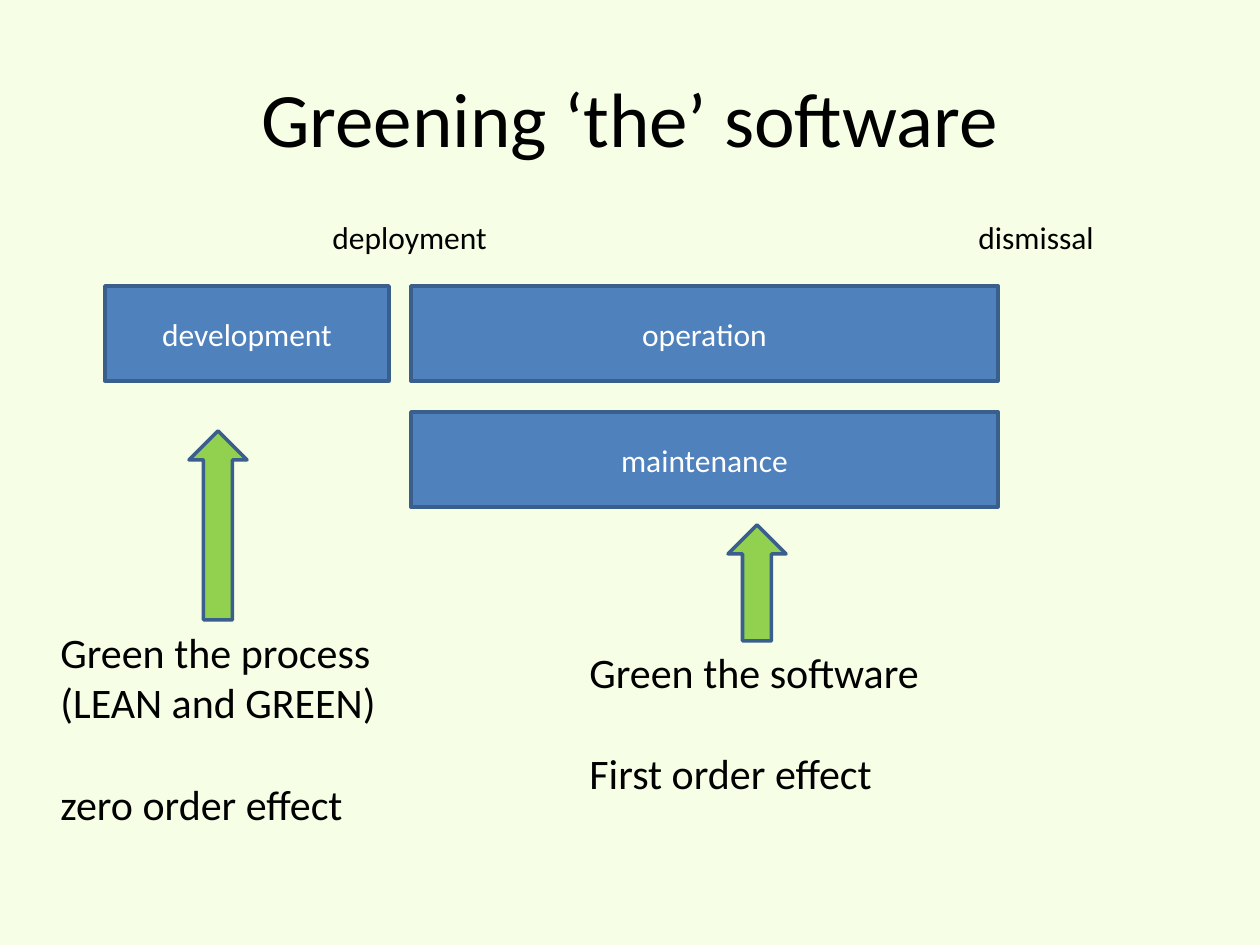
from pptx import Presentation
from pptx.dml.color import RGBColor
from pptx.enum.shapes import MSO_SHAPE
from pptx.enum.text import MSO_ANCHOR, PP_ALIGN
from pptx.util import Pt

RECT, ARROW = MSO_SHAPE.RECTANGLE, MSO_SHAPE.UP_ARROW
TOP, MIDDLE = MSO_ANCHOR.TOP, MSO_ANCHOR.MIDDLE
LEFT, CENTER = PP_ALIGN.LEFT, PP_ALIGN.CENTER

COLORS = {"back": "F6FFE5", "box": "4F81BD", "edge": "3A5F8C",
          "arrow": "92D050", "dark": "000000", "light": "FFFFFF"}
SCALE = 914400 / 126
GAP = 29.3  # one line of 24 pt text

# Places are left, top, width, height in px
TITLE = ("Greening ‘the’ software", (63, 38, 1134, 157))
PHASES = [
    ("development", (105, 286, 284, 95)),
    ("operation", (411, 286, 587, 95)),
    ("maintenance", (411, 412, 587, 95)),
]
EVENTS = [
    ("deployment", (320, 212, 181, 50)),
    ("dismissal", (966, 212, 142, 50)),
]
# Each note is a list of blocks, set apart by a gap
NOTES = [
    ([["Green the process", "(LEAN and GREEN)"], ["zero order effect"]],
     (48, 620, 344, 217)),
    ([["Green the software"], ["First order effect"]],
     (577, 640, 359, 165)),
]
ARROWS = [(189, 431, 58, 189), (728, 525, 58, 116)]


def emu(place):
    return [round(n * SCALE) for n in place]


def color(name):
    return RGBColor.from_string(COLORS[name])


def write(shape, blocks, size, ink="dark", align=LEFT, anchor=TOP, wrap=False):
    frame = shape.text_frame
    for key, value in {"word_wrap": wrap, "vertical_anchor": anchor}.items():
        setattr(frame, key, value)
    lines = [(text, GAP if b and not i else 0)
             for b, block in enumerate(blocks) for i, text in enumerate(block)]
    for n, (text, gap) in enumerate(lines):
        para = frame.add_paragraph() if n else frame.paragraphs[0]
        para.alignment = align
        para.space_before = Pt(gap)
        run = para.add_run()
        run.text = text
        for key, value in {"name": "Calibri", "size": Pt(size)}.items():
            setattr(run.font, key, value)
        run.font.color.rgb = color(ink)


def draw(slide, kind, place, fill):
    shape = slide.shapes.add_shape(kind, *emu(place))
    shape.shadow.inherit = False
    shape.fill.solid()
    shape.fill.fore_color.rgb = color(fill)
    shape.line.color.rgb = color("edge")
    shape.line.width = Pt(2)
    return shape


def main():
    deck = Presentation()
    deck.slide_width, deck.slide_height = emu((1260, 945))
    slide = deck.slides.add_slide(deck.slide_layouts[6])
    slide.background.fill.solid()
    slide.background.fill.fore_color.rgb = color("back")

    text, place = TITLE
    write(slide.shapes.add_textbox(*emu(place)), [[text]], 44,
          align=CENTER, anchor=MIDDLE, wrap=True)
    for text, place in PHASES:
        write(draw(slide, RECT, place, "box"), [[text]], 18, "light",
              CENTER, MIDDLE, True)
    for text, place in EVENTS:
        write(slide.shapes.add_textbox(*emu(place)), [[text]], 18)
    for blocks, place in NOTES:
        write(slide.shapes.add_textbox(*emu(place)), blocks, 24)
    for place in ARROWS:
        draw(slide, ARROW, place, "arrow")
    deck.save("out.pptx")


if __name__ == "__main__":
    main()
